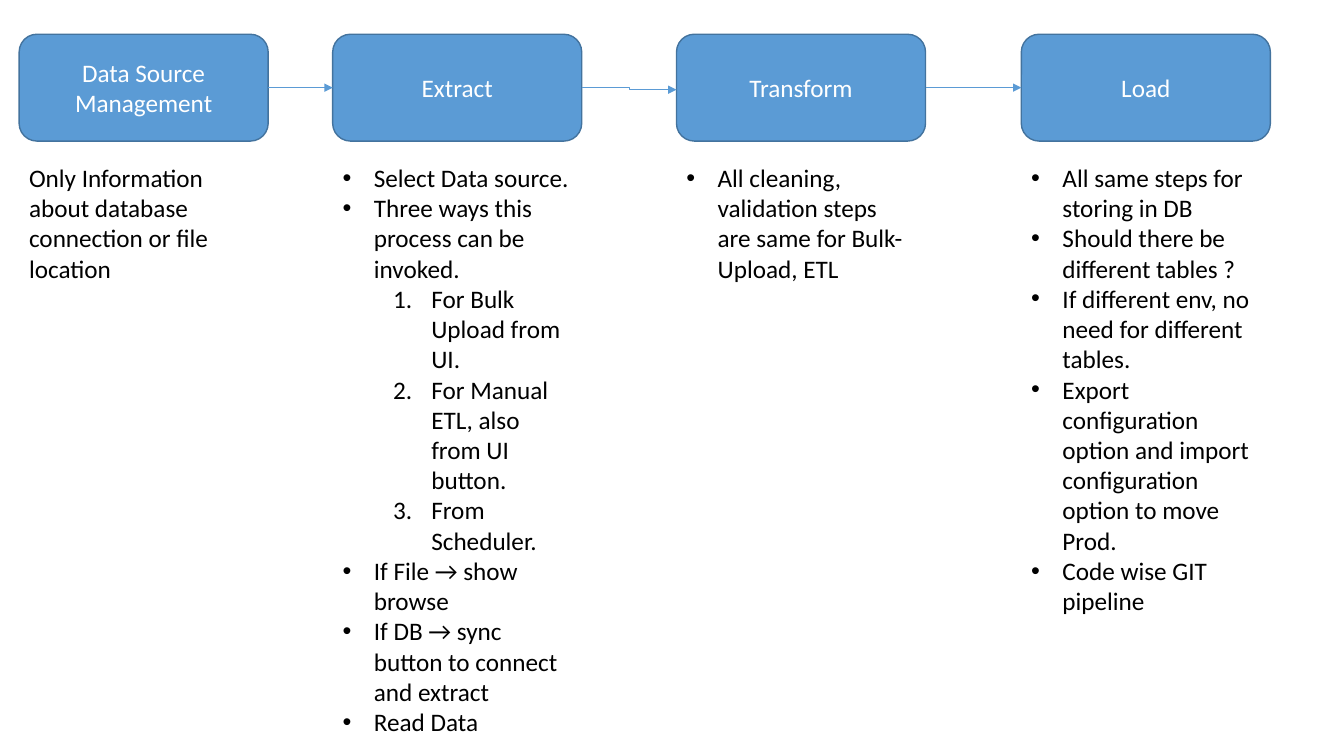
from dataclasses import dataclass
from enum import Enum

from lxml.etree import SubElement
from pptx import Presentation
from pptx.dml.color import RGBColor
from pptx.enum.shapes import MSO_CONNECTOR, MSO_SHAPE
from pptx.enum.text import MSO_ANCHOR, MSO_AUTO_SIZE, PP_ALIGN
from pptx.oxml.ns import qn
from pptx.shapes.autoshape import Shape
from pptx.slide import Slide
from pptx.text.text import _Paragraph
from pptx.util import Inches, Pt


@dataclass(frozen=True)
class Theme:
    fill: RGBColor = RGBColor(0x5B, 0x9B, 0xD5)
    edge: RGBColor = RGBColor(0x43, 0x73, 0x9E)
    light: RGBColor = RGBColor(0xFF, 0xFF, 0xFF)
    dark: RGBColor = RGBColor(0, 0, 0)
    font: str = "Calibri"
    size: Pt = Pt(18)
    border: Pt = Pt(1)
    wire: Pt = Pt(0.5)


class Mark(Enum):
    PLAIN = 0
    DOT = 1
    STEP = 2


@dataclass(frozen=True)
class Note:
    text: str
    mark: Mark = Mark.DOT


@dataclass(frozen=True)
class Stage:
    title: str
    left: float
    depth: float
    notes: list[Note]
    drop: float = 0  # how far the arrow into this stage steps down


THEME = Theme()
WIDTH, HEIGHT = 2.47, 1.06
TOP, BODY = 0.34, 1.56

STAGES = [
    Stage("Data Source Management", 0.19, 1.31, [
        Note("Only Information about database connection or file location", Mark.PLAIN),
    ]),
    Stage("Extract", 3.3, 5.86, [
        Note("Select Data source."),
        Note("Three ways this process can be invoked."),
        Note("For Bulk Upload from UI.", Mark.STEP),
        Note("For Manual ETL, also from UI button.", Mark.STEP),
        Note("From Scheduler.", Mark.STEP),
        Note("If File → show browse"),
        Note("If DB → sync button to connect and extract"),
        Note("Read Data"),
    ]),
    Stage("Transform", 6.71, 1.31, [
        Note("All cleaning, validation steps are same for Bulk-Upload, ETL"),
    ], drop=0.02),
    Stage("Load", 10.13, 4.64, [
        Note("All same steps for storing in DB"),
        Note("Should there be different tables ?"),
        Note("If different env, no need for different tables."),
        Note("Export configuration option and import configuration option to move Prod."),
        Note("Code wise GIT pipeline"),
    ]),
]


def write(para: _Paragraph, text: str, color: RGBColor) -> None:
    run = para.add_run()
    run.text = text
    run.font.name = THEME.font
    run.font.size = THEME.size
    run.font.color.rgb = color


def set_mark(para: _Paragraph, mark: Mark) -> None:
    if mark is Mark.PLAIN:
        return
    step = mark is Mark.STEP
    para.level = 1 if step else 0
    left, hang = (0.88, 0.38) if step else (0.31, 0.31)
    props = para._p.get_or_add_pPr()
    props.set("marL", str(Inches(left)))
    props.set("indent", str(-Inches(hang)))
    if step:
        SubElement(props, qn("a:buFont"), typeface="+mj-lt")
        SubElement(props, qn("a:buAutoNum"), type="arabicPeriod")
    else:
        SubElement(props, qn("a:buFont"), typeface="Arial")
        SubElement(props, qn("a:buChar"), char="•")


def add_box(slide: Slide, stage: Stage) -> Shape:
    box = slide.shapes.add_shape(
        MSO_SHAPE.ROUNDED_RECTANGLE,
        Inches(stage.left), Inches(TOP), Inches(WIDTH), Inches(HEIGHT))
    box.shadow.inherit = False
    box.fill.solid()
    box.fill.fore_color.rgb = THEME.fill
    box.line.color.rgb = THEME.edge
    box.line.width = THEME.border
    frame = box.text_frame
    frame.word_wrap = True
    frame.vertical_anchor = MSO_ANCHOR.MIDDLE
    para = frame.paragraphs[0]
    para.alignment = PP_ALIGN.CENTER
    write(para, stage.title, THEME.light)
    return box


def add_notes(slide: Slide, stage: Stage) -> None:
    box = slide.shapes.add_textbox(
        Inches(stage.left), Inches(BODY), Inches(WIDTH), Inches(stage.depth))
    frame = box.text_frame
    frame.word_wrap = True
    frame.auto_size = MSO_AUTO_SIZE.SHAPE_TO_FIT_TEXT
    for i, note in enumerate(stage.notes):
        para = frame.add_paragraph() if i else frame.paragraphs[0]
        set_mark(para, note.mark)
        write(para, note.text, THEME.dark)


def add_arrow(slide: Slide, start: Shape, end: Shape, drop: float) -> None:
    mid = start.top + start.height // 2
    kind = MSO_CONNECTOR.ELBOW if drop else MSO_CONNECTOR.STRAIGHT
    wire = slide.shapes.add_connector(
        kind, start.left + start.width, mid, end.left, mid + Inches(drop))
    if not drop:
        wire.begin_connect(start, 3)
        wire.end_connect(end, 1)
    wire.line.color.rgb = THEME.fill
    wire.line.width = THEME.wire
    SubElement(wire.line._get_or_add_ln(), qn("a:tailEnd"), type="triangle")
    SubElement(wire._element.spPr, qn("a:effectLst"))


def main() -> None:
    deck = Presentation()
    deck.slide_width, deck.slide_height = Inches(13.33), Inches(7.5)
    slide = deck.slides.add_slide(deck.slide_layouts[6])

    # Stage boxes
    boxes = [add_box(slide, stage) for stage in STAGES]

    # Notes under each stage
    for stage in STAGES:
        add_notes(slide, stage)

    # Arrows between neighbours
    for start, end, stage in zip(boxes, boxes[1:], STAGES[1:]):
        add_arrow(slide, start, end, stage.drop)

    deck.save("out.pptx")


if __name__ == "__main__":
    main()
